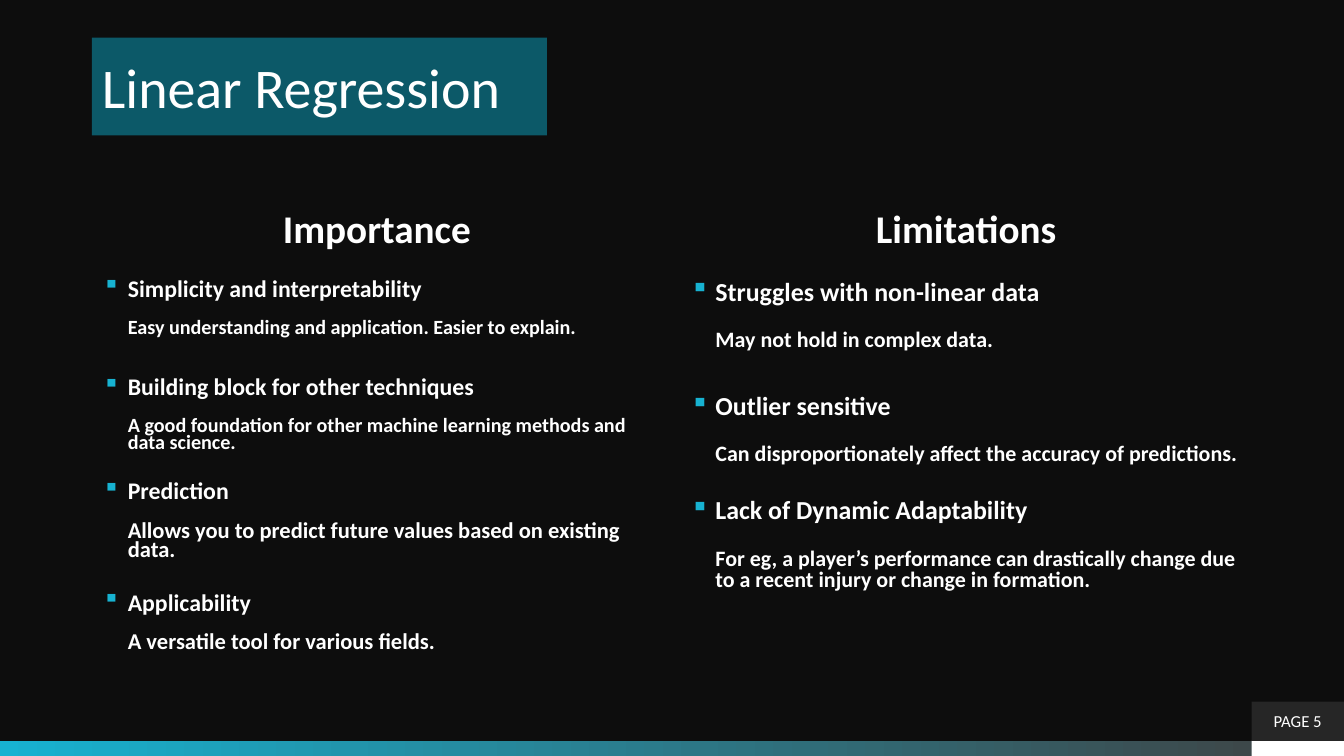
from dataclasses import dataclass

from lxml import etree
from pptx import Presentation
from pptx.dml.color import RGBColor
from pptx.enum import shapes, text
from pptx.oxml import ns
from pptx.util import Pt


@dataclass(frozen=True)
class Theme:
    font: str = "Calibri"
    background: str = "0D0D0D"
    accent: str = "17B2D1"
    title_fill: str = "0C5968"
    bar_end: str = "404040"
    page_fill: str = "262626"
    white: str = "FFFFFF"
    title_size: float = 40
    header_size: float = 28
    page_size: float = 12


@dataclass(frozen=True)
class Box:
    left: float
    top: float
    width: float
    height: float

    def lengths(self) -> tuple:
        return Pt(self.left), Pt(self.top), Pt(self.width), Pt(self.height)


@dataclass(frozen=True)
class Point:
    heading: str
    detail: str
    detail_size: float
    space_before: float = 0


@dataclass(frozen=True)
class Column:
    header: str
    left: float
    width: float
    heading_size: float
    line_spacing: float
    detail_gap: float
    points: tuple


THEME = Theme()
SLIDE_W, SLIDE_H = 960, 540
BAR_TOP = 529.2
PAGE_LEFT, PAGE_W, PAGE_H = 894, 66, 28
HEADER_TOP, HEADER_H, BODY_H = 132.5, 64.8, 290.2
INDENT = 18

COLUMNS = (
    Column("Importance", 66.2, 406, 17, 0.7, 14, (
        Point("Simplicity and interpretability",
              "Easy understanding and application. Easier to explain.", 14.4),
        Point("Building block for other techniques",
              "A good foundation for other machine learning methods and data science.", 14.4, 30),
        Point("Prediction",
              "Allows you to predict future values based on existing data.", 16.1, 22),
        Point("Applicability", "A versatile tool for various fields.", 16.1, 24),
    )),
    Column("Limitations", 486, 408.2, 18.5, 0.8, 17.5, (
        Point("Struggles with non-linear data", "May not hold in complex data.", 15.7),
        Point("Outlier sensitive",
              "Can disproportionately affect the accuracy of predictions.", 15.7, 31.5),
        Point("Lack of Dynamic Adaptability",
              "For eg, a player’s performance can drastically change due to a recent injury "
              "or change in formation.", 15.7, 24),
    )),
)


def rgb(color: str) -> RGBColor:
    return RGBColor.from_string(color)


def write(p, content: str, size: float, bold: bool = False) -> None:
    p.text = content
    for r in p.runs:
        r.font.name = THEME.font
        r.font.size = Pt(size)
        r.font.bold = bold
        r.font.color.rgb = rgb(THEME.white)


def add_rect(s, box: Box, color: str):
    sp = s.shapes.add_shape(shapes.MSO_SHAPE.RECTANGLE, *box.lengths())
    sp.shadow.inherit = False
    sp.fill.solid()
    sp.fill.fore_color.rgb = rgb(color)
    sp.line.fill.background()
    return sp


def add_label(sp, content: str, size: float, align: text.PP_ALIGN) -> None:
    tf = sp.text_frame
    tf.word_wrap = True
    tf.vertical_anchor = text.MSO_ANCHOR.MIDDLE
    write(tf.paragraphs[0], content, size)
    tf.paragraphs[0].alignment = align


def add_text_frame(s, box: Box):
    tf = s.shapes.add_textbox(*box.lengths()).text_frame
    tf.word_wrap = True
    return tf


def indent(p, bullet: bool) -> None:
    ppr = p._p.get_or_add_pPr()
    ppr.set("marL", str(Pt(INDENT)))
    ppr.set("indent", str(Pt(-INDENT if bullet else 0)))
    if bullet:
        color = etree.SubElement(ppr, ns.qn("a:buClr"))
        etree.SubElement(color, ns.qn("a:srgbClr"), val=THEME.accent)
        etree.SubElement(ppr, ns.qn("a:buChar"), char="▪")


def add_column(s, column: Column) -> None:
    tf = add_text_frame(s, Box(column.left, HEADER_TOP, column.width, HEADER_H))
    tf.vertical_anchor = text.MSO_ANCHOR.MIDDLE
    p = tf.paragraphs[0]
    write(p, column.header, THEME.header_size, True)
    p.alignment = text.PP_ALIGN.CENTER
    p.line_spacing = 0.9

    tf = add_text_frame(s, Box(column.left, HEADER_TOP + HEADER_H, column.width, BODY_H))
    for i, point in enumerate(column.points):
        lines = (
            (point.heading, column.heading_size, point.space_before, True),
            (point.detail, point.detail_size, column.detail_gap, False),
        )
        for content, size, before, bullet in lines:
            p = tf.paragraphs[0] if bullet and i == 0 else tf.add_paragraph()
            indent(p, bullet)
            write(p, content, size, True)
            p.line_spacing = column.line_spacing
            p.space_before = Pt(before)


def add_footer(s) -> None:
    bar_h = SLIDE_H - BAR_TOP
    bar = add_rect(s, Box(0, BAR_TOP, SLIDE_W, bar_h), THEME.accent)
    bar.fill.gradient()
    bar.fill.gradient_angle = 0
    for stop, color in zip(bar.fill.gradient_stops, (THEME.accent, THEME.bar_end)):
        stop.color.rgb = rgb(color)
    add_rect(s, Box(PAGE_LEFT, BAR_TOP, PAGE_W, bar_h), THEME.white)
    page = add_rect(s, Box(PAGE_LEFT, BAR_TOP - PAGE_H, PAGE_W, PAGE_H), THEME.page_fill)
    add_label(page, "PAGE 5", THEME.page_size, text.PP_ALIGN.CENTER)


def main() -> None:
    prs = Presentation()
    prs.slide_width, prs.slide_height = Pt(SLIDE_W), Pt(SLIDE_H)
    s = prs.slides.add_slide(prs.slide_layouts[6])
    s.background.fill.solid()
    s.background.fill.fore_color.rgb = rgb(THEME.background)
    add_footer(s)
    for column in COLUMNS:
        add_column(s, column)
    title = add_rect(s, Box(65.7, 26.8, 325, 70), THEME.title_fill)
    add_label(title, "Linear Regression", THEME.title_size, text.PP_ALIGN.LEFT)
    prs.save("out.pptx")


if __name__ == "__main__":
    main()
